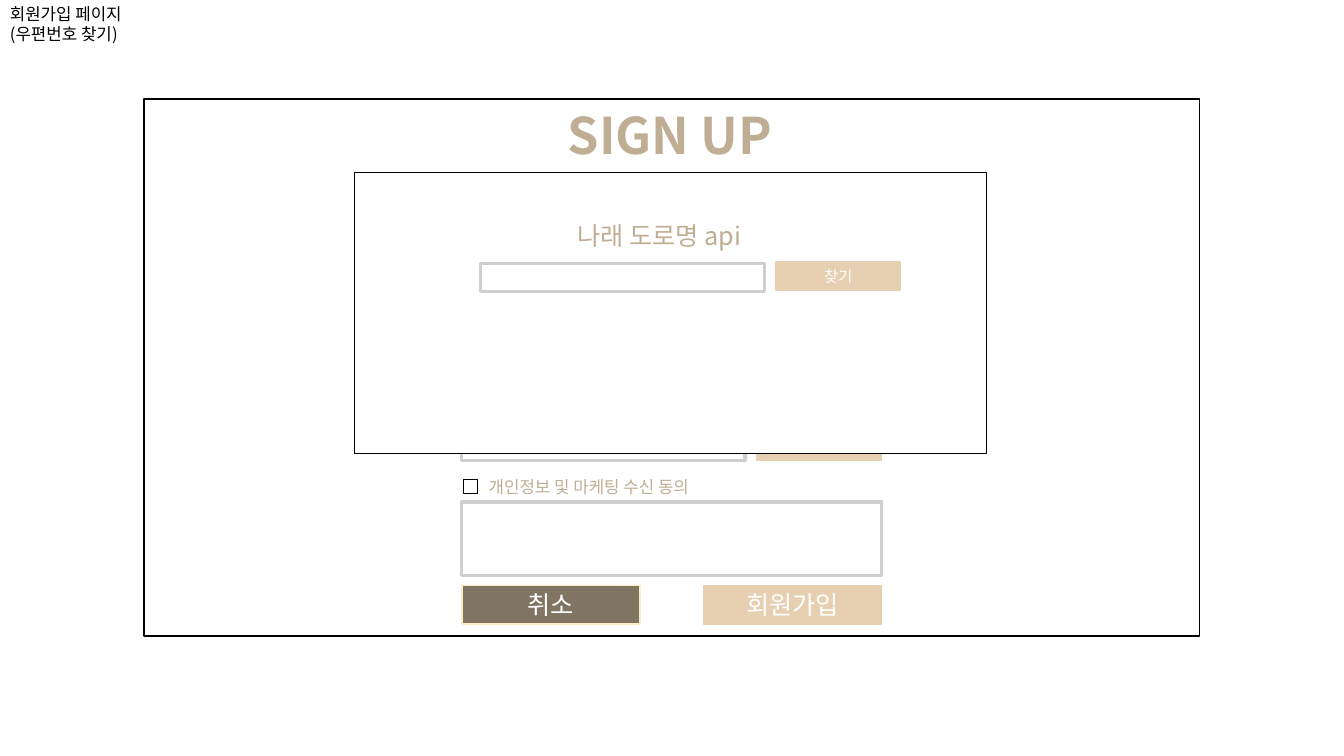
from pptx import Presentation
from pptx.dml.color import RGBColor
from pptx.enum.shapes import MSO_SHAPE
from pptx.enum.text import MSO_ANCHOR, MSO_AUTO_SIZE, PP_ALIGN
from pptx.oxml.ns import qn
from pptx.util import Pt
from lxml import etree

RECT = MSO_SHAPE.RECTANGLE
TOP, MIDDLE = MSO_ANCHOR.TOP, MSO_ANCHOR.MIDDLE
LEFT, CENTER = PP_ALIGN.LEFT, PP_ALIGN.CENTER
NO_FIT = MSO_AUTO_SIZE.NONE

FONT = "Noto Sans CJK KR"
COLORS = {
    "white": "FFFFFF", "black": "000000", "brown": "807462", "cream": "FFEBC4",
    "tan": "E6D0B1", "gold": "BFAE93", "gray": "D0CECE",
}

# Box styles: fill, line colour, line width
STYLES = {
    "frame": (None, "black", 1),
    "panel": ("white", "black", 1),
    "field": ("white", "gray", 2.25),
    "button": ("tan", "tan", 1),
    "cancel": ("brown", "cream", 1),
}

# Content: style, (left, top, width, height), text, text size
FORM_LEFT, FORM_W = 329.9, 300
FIELD_W, SMALL_W, ROW_H = 202.3, 89.3, 20.2
BIG_W, BIG_H, BIG_TOP = 127.4, 27.4, 418.3
PHONE_TOP, FIND_TOP = 308.9, 187.5
FORM_RIGHT = FORM_LEFT + FORM_W
POPUP_SHIFT = 13.6

TITLE = ("SIGN UP", (398.2, 70.6, 163.4, 51.1))
FORM_BOXES = [
    ("cancel", (FORM_LEFT, BIG_TOP, BIG_W, BIG_H), "취소", 18),
    ("button", (FORM_RIGHT - BIG_W, BIG_TOP, BIG_W, BIG_H), "회원가입", 18),
    ("frame", (103, 70.6, 753.8, 383.8), "", 0),
    ("field", (FORM_LEFT, PHONE_TOP, FIELD_W, ROW_H), "", 0),
    ("button", (FORM_RIGHT - SMALL_W, PHONE_TOP, SMALL_W, ROW_H), "", 0),
    ("field", (FORM_LEFT, 358.6, FORM_W, 52.6), "", 0),
    ("panel", (331.2, 342.7, 10, 10), "", 0),
]
POPUP_BOXES = [
    ("panel", (253.4, 123.1, 451.4, 200.9), "", 0),
    ("field", (FORM_LEFT + POPUP_SHIFT, FIND_TOP + 0.4, FIELD_W, ROW_H), "", 0),
    ("button", (FORM_RIGHT + POPUP_SHIFT - SMALL_W, FIND_TOP - 0.3, SMALL_W, ROW_H),
     "찾기", 11),
]

# Labels: (left, top, width, height), lines, size, colour
FORM_LABELS = [
    ((342, 337, 177, 21.6), ["개인정보 및 마케팅 수신 동의"], 12, "gold"),
    ((0, -0.7, 103.7, 36), ["회원가입 페이지", "(우편번호 찾기)"], 12, "black"),
]
POPUP_LABELS = [((405.4, 154.1, 143.3, 28.8), ["나래 도로명 api"], 18, "gold")]


def rgb(name):
    return RGBColor.from_string(COLORS[name])


def write(sp, lines, size, color, align=LEFT, anchor=TOP, bold=False):
    tf = sp.text_frame
    frame_format = {
        "word_wrap": True, "auto_size": NO_FIT, "vertical_anchor": anchor,
        "margin_left": Pt(7.2), "margin_right": Pt(7.2),
        "margin_top": Pt(3.6), "margin_bottom": Pt(3.6),
    }
    for key, value in frame_format.items():
        setattr(tf, key, value)
    for i, line in enumerate(lines):
        p = tf.paragraphs[0] if i == 0 else tf.add_paragraph()
        p.alignment = align
        r = p.add_run()
        r.text = line
        for key, value in {"name": FONT, "size": Pt(size), "bold": bold}.items():
            setattr(r.font, key, value)
        r.font.color.rgb = rgb(color)
        # Korean glyphs take the East Asian typeface
        etree.SubElement(r.font._element, qn("a:ea"), typeface=FONT)


def add_box(shapes, style, place, text, size):
    fill, line, width = STYLES[style]
    sp = shapes.add_shape(RECT, *map(Pt, place))
    sp.shadow.inherit = False
    if fill:
        sp.fill.solid()
        sp.fill.fore_color.rgb = rgb(fill)
    else:
        sp.fill.background()
    sp.line.color.rgb = rgb(line)
    sp.line.width = Pt(width)
    if text:
        write(sp, [text], size, "white", CENTER, MIDDLE)


def add_parts(shapes, boxes, labels):
    for box in boxes:
        add_box(shapes, *box)
    for place, lines, size, color in labels:
        write(shapes.add_textbox(*map(Pt, place)), lines, size, color)


def main():
    prs = Presentation()
    prs.slide_width, prs.slide_height = Pt(960), Pt(540)
    s = prs.slides.add_slide(prs.slide_layouts[5])

    # Title
    text, place = TITLE
    title = s.shapes.title
    title.left, title.top, title.width, title.height = map(Pt, place)
    write(title, [text], 36, "gold", bold=True)

    # Sign-up form, then the address popup over it
    add_parts(s.shapes, FORM_BOXES, FORM_LABELS)
    popup = s.shapes.add_group_shape()
    add_parts(popup.shapes, POPUP_BOXES, POPUP_LABELS)

    prs.save("out.pptx")


if __name__ == "__main__":
    main()
